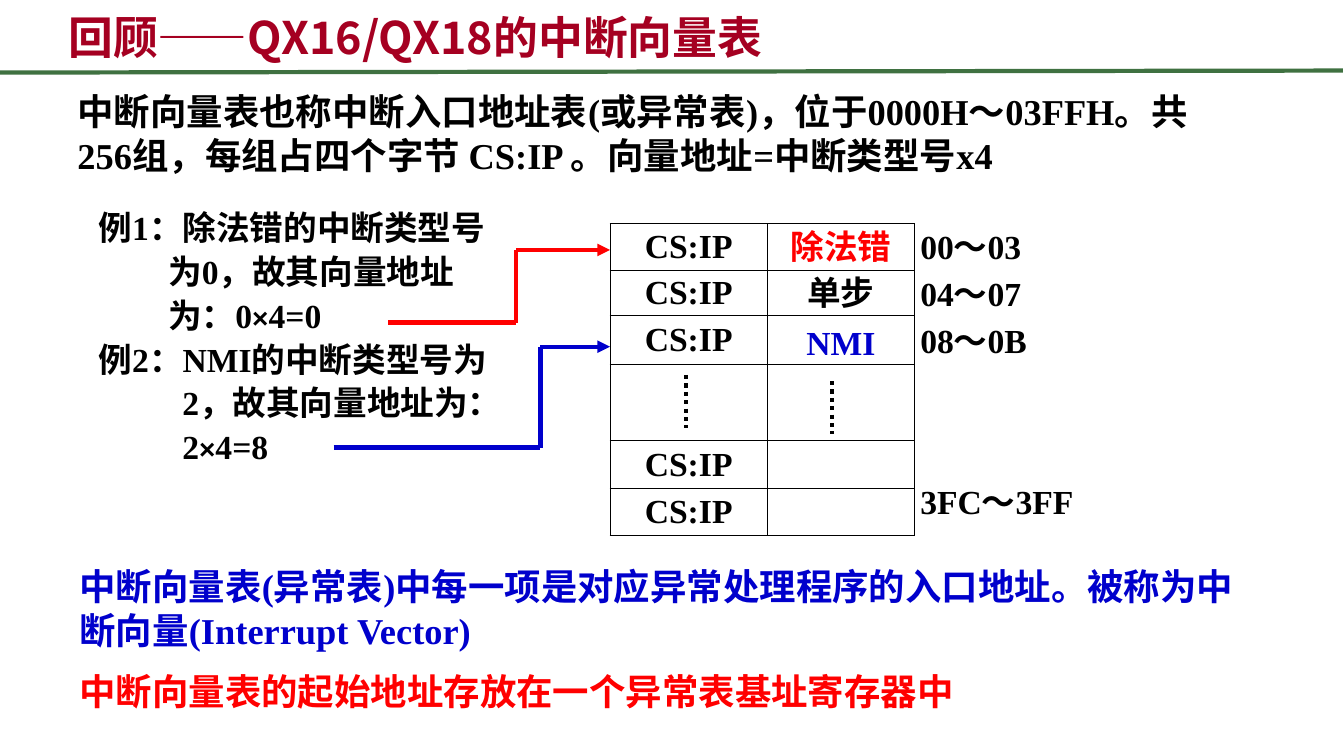
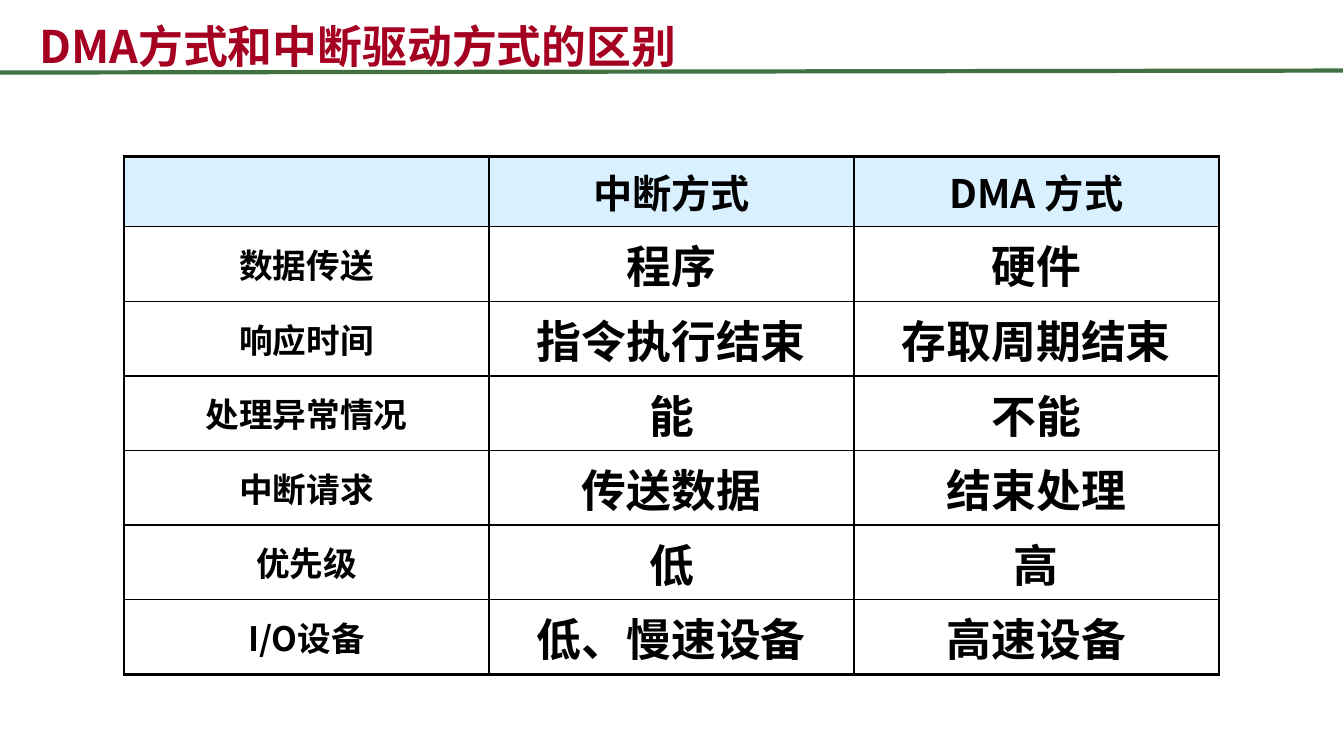
from itertools import pairwise

from lxml.etree import SubElement
from pptx import Presentation
from pptx.dml.color import RGBColor
from pptx.enum.dml import MSO_LINE
from pptx.enum.shapes import MSO_CONNECTOR
from pptx.enum.text import MSO_ANCHOR, PP_ALIGN
from pptx.oxml.ns import qn
from pptx.util import Inches, Pt

BLACK, RED, BLUE = "000000", "FF0000", "0000CC"
CRIMSON, GREEN, PALE = "A50021", "3F7141", "D9F0FF"
SANS, SERIF = "Noto Sans CJK SC", "Times New Roman"


def tint(code):
    """Turn a hex string into a colour."""
    return RGBColor.from_string(code)


def style(par, size, color=BLACK, face=SERIF, lead=None, before=0):
    """Set the bold font and the spacing of a paragraph."""
    font = par.font
    font.size, font.bold, font.name = Pt(size), True, face
    font.color.rgb = tint(color)
    props = par._p.get_or_add_pPr()
    SubElement(props.find(qn("a:defRPr")), qn("a:ea"), typeface=SANS)
    par.space_before = Pt(before)
    if lead:
        par.line_spacing = Pt(lead)


def write(par, text):
    """Write text, with the times sign in a smaller Arial."""
    for part in text.partition("×"):
        if part:
            run = par.add_run()
            run.text = part
            if part == "×":
                run.font.name, run.font.size = "Arial", Pt(20)


def add_text(slide, box, rows, size, lead, face=SERIF):
    """Add a text box; each row is text, colour, space before and indent."""
    frame = slide.shapes.add_textbox(*map(Inches, box)).text_frame
    frame.word_wrap = True
    for i, (text, color, before, indent) in enumerate(rows):
        par = frame.add_paragraph() if i else frame.paragraphs[0]
        style(par, size, color, face, lead, before)
        if indent:
            par._p.get_or_add_pPr().set("marL", str(Inches(indent)))
        write(par, text)
    return frame


def add_line(slide, start, end, color, arrow=False, dots=False):
    """Draw a straight line of three points."""
    line = slide.shapes.add_connector(
        MSO_CONNECTOR.STRAIGHT, *map(Inches, (*start, *end)))
    line.line.color.rgb, line.line.width = tint(color), Pt(3)
    if dots:
        line.line.dash_style = MSO_LINE.ROUND_DOT
    if arrow:
        SubElement(line.line._get_or_add_ln(), qn("a:tailEnd"), type="triangle")
    SubElement(line._element.spPr, qn("a:effectLst"))


def add_route(slide, points, color):
    """Join points by lines and end in an arrow."""
    for start, end in pairwise(points):
        add_line(slide, start, end, color, arrow=end == points[-1])


def add_edges(cell, widths):
    """Set the left, right, top and bottom borders of a cell."""
    props = cell._tc.get_or_add_tcPr()
    for side, width in zip("LRTB", widths):
        edge = SubElement(props, qn(f"a:ln{side}"), w=str(Pt(width)))
        fill = SubElement(edge, qn("a:solidFill"))
        SubElement(fill, qn("a:srgbClr"), val=BLACK)


def add_grid(slide, spot, cols, highs, rows, look, inner, outer, pad):
    """Add a ruled table; look gives size, colour, face, lead and fill."""
    last, end = len(rows) - 1, len(cols) - 1
    shape = slide.shapes.add_table(
        len(rows), len(cols), *map(Inches, (*spot, sum(cols), sum(highs))))
    table = shape.table
    table.first_row = table.horz_banding = False
    for col, width in zip(table.columns, cols):
        col.width = Inches(width)
    for r, texts in enumerate(rows):
        table.rows[r].height = Inches(highs[r])
        for c, text in enumerate(texts):
            cell = table.cell(r, c)
            rims = (c == 0, c == end, r == 0, r == last)
            add_edges(cell, [outer if rim else inner for rim in rims])
            size, color, face, lead, fill = look(r, c)
            if fill:
                cell.fill.solid()
                cell.fill.fore_color.rgb = tint(fill)
            else:
                cell.fill.background()
            cell.vertical_anchor = MSO_ANCHOR.MIDDLE
            cell.margin_top = cell.margin_bottom = Inches(pad)
            par = cell.text_frame.paragraphs[0]
            par.alignment = PP_ALIGN.CENTER
            style(par, size, color, face, lead)
            if text:
                write(par, text)


def add_slide(deck, title, box):
    """Add a blank slide with the green rule and a title."""
    slide = deck.slides.add_slide(deck.slide_layouts[6])
    add_line(slide, (0, 0.72), (13.32, 0.7), GREEN)
    frame = add_text(slide, box, [(title, CRIMSON, 0, 0)], 32, 34, SANS)
    frame.vertical_anchor = MSO_ANCHOR.BOTTOM
    return slide


def add_vectors(slide, left, top):
    """Add the vector table with its dots and address labels."""
    entry = "CS:IP"
    rows = [(entry, "除法错"), (entry, "单步"), (entry, "NMI"),
            ("", ""), (entry, ""), (entry, "")]
    inks = {(0, 1): RED, (2, 1): BLUE}
    leads = (27, 32)
    add_grid(slide, (left, top), [1.56, 1.46],
             [0.46, 0.45, 0.49, 0.75, 0.48, 0.46], rows,
             lambda r, c: (24, inks.get((r, c), BLACK), SERIF, leads[c], None),
             0.75, 0.75, 0)
    for x, y in ((0.75, 1.5), (2.2, 1.56)):
        add_line(slide, (left + x, top + y), (left + x, top + y + 0.53),
                 BLACK, dots=True)
    spans = [("00～03", 0), ("04～07", 0), ("08～0B", 0), ("3FC～3FF", 81.5)]
    add_text(slide, (left + 2.98, top - 0.09, 2.09, 3.13),
             [(text, BLACK, gap, 0) for text, gap in spans], 24, 33.5)


def add_cases(slide, left, top):
    """Add the two worked examples and their arrows to the table."""
    rows = [("例1：除法错的中断类型号", 0), ("为0，故其向量地址", 0.69),
            ("为：0×4=0", 0.69), ("例2：NMI的中断类型号为", 0),
            ("2，故其向量地址为：", 0.83), ("2×4=8", 0.83)]
    add_text(slide, (left, top, 4.53, 2.73),
             [(text, BLACK, 0, indent) for text, indent in rows], 24, 31.3)
    routes = [(RED, 2.97, 4.24, 1.23, 0.51), (BLUE, 2.43, 4.48, 2.47, 1.47)]
    for color, start, turn, low, high in routes:
        steps = [(start, low), (turn, low), (turn, high), (5.17, high)]
        add_route(slide, [(left + x, top + y) for x, y in steps], color)


def make_review(deck):
    """Build the slide on the interrupt vector table."""
    slide = add_slide(deck, "回顾——QX16/QX18的中断向量表", (0.58, 0.04, 9.1, 0.64))
    intro = ("中断向量表也称中断入口地址表(或异常表)，位于0000H～03FFH。"
             "共256组，每组占四个字节 CS:IP 。向量地址=中断类型号x4")
    add_text(slide, (0.67, 0.82, 11.59, 0.98), [(intro, BLACK, 0, 0)], 26, 32)
    add_vectors(slide, 6.05, 2.22)
    add_cases(slide, 0.88, 1.97)
    notes = [("中断向量表(异常表)中每一项是对应异常处理程序的入口地址。"
              "被称为中断向量(Interrupt Vector)", BLUE, 0, 0),
             ("中断向量表的起始地址存放在一个异常表基址寄存器中", RED, 12, 0)]
    add_text(slide, (0.69, 5.54, 11.73, 1.58), notes, 26, 31.5)


def pick_look(row, col):
    """Give the look of a cell in the comparison table."""
    if row == 0:
        return 28, BLACK, SANS, None, PALE
    if col == 0:
        return 24, BLACK, SANS, None, None
    return 32, BLACK, SERIF, None, None


def make_compare(deck):
    """Build the slide that compares DMA with interrupts."""
    slide = add_slide(deck, "DMA方式和中断驱动方式的区别", (0.29, 0.13, 11.61, 0.64))
    rows = [("", "中断方式", "DMA 方式"),
            ("数据传送", "程序", "硬件"),
            ("响应时间", "指令执行结束", "存取周期结束"),
            ("处理异常情况", "能", "不能"),
            ("中断请求", "传送数据", "结束处理"),
            ("优先级", "低", "高"),
            ("I/O设备", "低、慢速设备", "高速设备")]
    add_grid(slide, (1.23, 1.55), [3.62] * 3, [0.7] + [0.74] * 6, rows,
             pick_look, 1, 2.25, 0.05)


def main():
    """Build and save the deck."""
    deck = Presentation()
    deck.slide_width, deck.slide_height = Inches(13.33), Inches(7.5)
    make_review(deck)
    make_compare(deck)
    deck.save("out.pptx")


if __name__ == "__main__":
    main()
